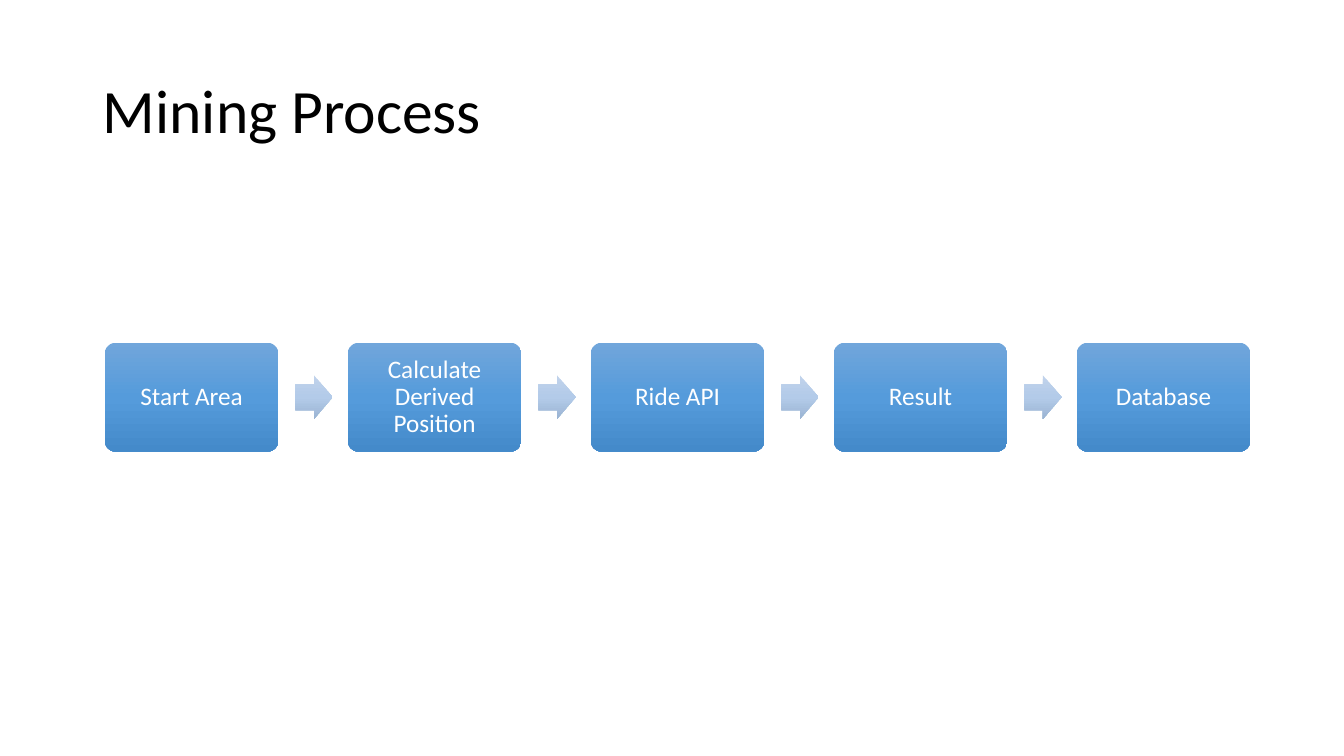
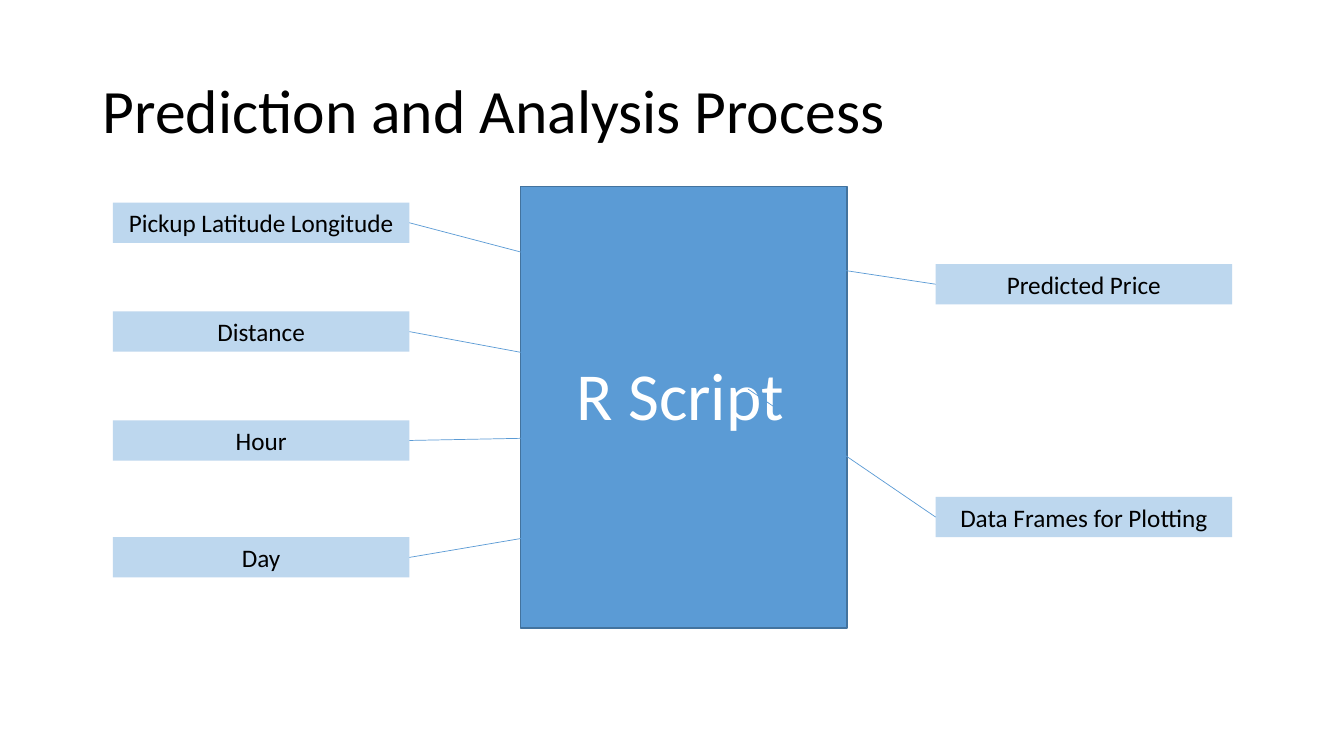
from copy import deepcopy

from pptx import Presentation
from pptx.dml.color import RGBColor
from pptx.enum import shapes, text
from pptx.oxml.ns import qn
from pptx.util import Inches, Pt

# Shared style
COLORS = {"black": "000000", "white": "FFFFFF", "blue": "5B9BD5",
          "edge": "43739E", "pale": "BDD7EE"}
STEP_GRADIENT = ["71A6DB", "559BDB", "448ACA"]
ARROW_GRADIENT = ["C0D2EB", "B3CBE9", "9BB4D3"]
FONT = "Calibri"
SHAPE, ALIGN, ANCHOR = shapes.MSO_SHAPE, text.PP_ALIGN, text.MSO_ANCHOR

# Mining process
STEPS = ["Start Area", "Calculate Derived Position", "Ride API", "Result", "Database"]
STEP_LEFT, STEP_TOP, STEP_W, STEP_H, STEP_PITCH = 1.04, 3.4, 1.72, 1.08, 2.41
ARROW_OFFSET, ARROW_W, ARROW_H = 1.89, 0.37, 0.43

# Prediction process: label, top, connector end inside the script box
LABEL_W, LABEL_H = 2.94, 0.4
INPUT_LEFT, OUTPUT_LEFT = 1.12, 9.28
INPUTS = [
    ("Pickup Latitude Longitude", 2.01, (5.62, 2.62)),
    ("Distance", 3.09, (5.62, 3.58)),
    ("Hour", 4.17, (5.62, 4.34)),
    ("Day", 5.33, (5.24, 5.33)),
]
OUTPUTS = [
    ("Predicted Price", 2.62, (7.37, 2.53)),
    ("Data Frames for Plotting", 4.93, (7.42, 3.86)),
]


def rgb(value):
    return RGBColor.from_string(value)


def write(sp, words, size, color, align=ALIGN.CENTER, anchor=ANCHOR.MIDDLE, spacing=1.0):
    tf = sp.text_frame
    frame = {"word_wrap": True, "auto_size": text.MSO_AUTO_SIZE.NONE,
             "vertical_anchor": anchor}
    for name, value in frame.items():
        setattr(tf, name, value)
    p = tf.paragraphs[0]
    p.alignment, p.line_spacing = align, spacing
    r = p.add_run()
    r.text = words
    for name, value in {"name": FONT, "size": Pt(size)}.items():
        setattr(r.font, name, value)
    r.font.color.rgb = rgb(COLORS[color])


def add_slide(prs, title):
    s = prs.slides.add_slide(prs.slide_layouts[5])
    sp = s.shapes.title
    box = {"left": 0.92, "top": 0.4, "width": 11.5, "height": 1.45}
    for name, value in box.items():
        setattr(sp, name, Inches(value))
    write(sp, title, 44, "black", ALIGN.LEFT, spacing=0.9)
    return s


def add_box(s, kind, *box):
    sp = s.shapes.add_shape(kind, *map(Inches, box))
    sp.shadow.inherit = False
    sp.line.fill.background()
    return sp


def fill_solid(sp, color):
    sp.fill.solid()
    sp.fill.fore_color.rgb = rgb(COLORS[color])


def fill_gradient(sp, colors):
    sp.fill.gradient()
    sp.fill.gradient_angle = 270
    stops = sp._element.spPr.find(qn("a:gradFill")).find(qn("a:gsLst"))
    stops.insert(1, deepcopy(stops[0]))
    for stop, color, position in zip(sp.fill.gradient_stops, colors, (0, 0.5, 1)):
        stop.color.rgb = rgb(color)
        stop.position = position


def add_line(s, start, end):
    line = s.shapes.add_connector(shapes.MSO_CONNECTOR.STRAIGHT,
                                  *map(Inches, (*start, *end)))
    line.line.color.rgb = rgb(COLORS["blue"])
    line.line.width = Pt(0.5)
    spPr = line._element.spPr
    spPr.append(spPr.makeelement(qn("a:effectLst"), {}))


def build_mining(prs):
    s = add_slide(prs, "Mining Process")
    for i, step in enumerate(STEPS):
        left = STEP_LEFT + i * STEP_PITCH
        sp = add_box(s, SHAPE.ROUNDED_RECTANGLE, left, STEP_TOP, STEP_W, STEP_H)
        sp.adjustments[0] = 0.1
        fill_gradient(sp, STEP_GRADIENT)
        write(sp, step, 18, "white", spacing=0.9)
        if i < len(STEPS) - 1:
            arrow = add_box(s, SHAPE.RIGHT_ARROW, left + ARROW_OFFSET,
                            STEP_TOP + (STEP_H - ARROW_H) / 2, ARROW_W, ARROW_H)
            arrow.adjustments[0] = 0.6
            fill_gradient(arrow, ARROW_GRADIENT)


def build_prediction(prs):
    s = add_slide(prs, "Prediction and Analysis Process")

    # Script box
    script = add_box(s, SHAPE.RECTANGLE, 5.16, 1.85, 3.24, 4.38)
    fill_solid(script, "blue")
    script.line.color.rgb = rgb(COLORS["edge"])
    script.line.width = Pt(1)
    caption = s.shapes.add_textbox(*map(Inches, (5.62, 3.46, 2.79, 0.91)))
    write(caption, "R Script", 48, "white", ALIGN.LEFT, ANCHOR.TOP)

    # Inputs and outputs, each joined to the script from its inner edge
    sides = [(INPUTS, INPUT_LEFT, INPUT_LEFT + LABEL_W),
             (OUTPUTS, OUTPUT_LEFT, OUTPUT_LEFT)]
    for labels, left, edge in sides:
        for label, top, end in labels:
            sp = add_box(s, SHAPE.RECTANGLE, left, top, LABEL_W, LABEL_H)
            fill_solid(sp, "pale")
            write(sp, label, 18, "black", anchor=ANCHOR.TOP)
            add_line(s, (edge, top + LABEL_H / 2), end)


def main():
    prs = Presentation()
    prs.slide_width, prs.slide_height = Inches(13.33), Inches(7.5)
    build_mining(prs)
    build_prediction(prs)
    prs.save("out.pptx")


if __name__ == "__main__":
    main()
